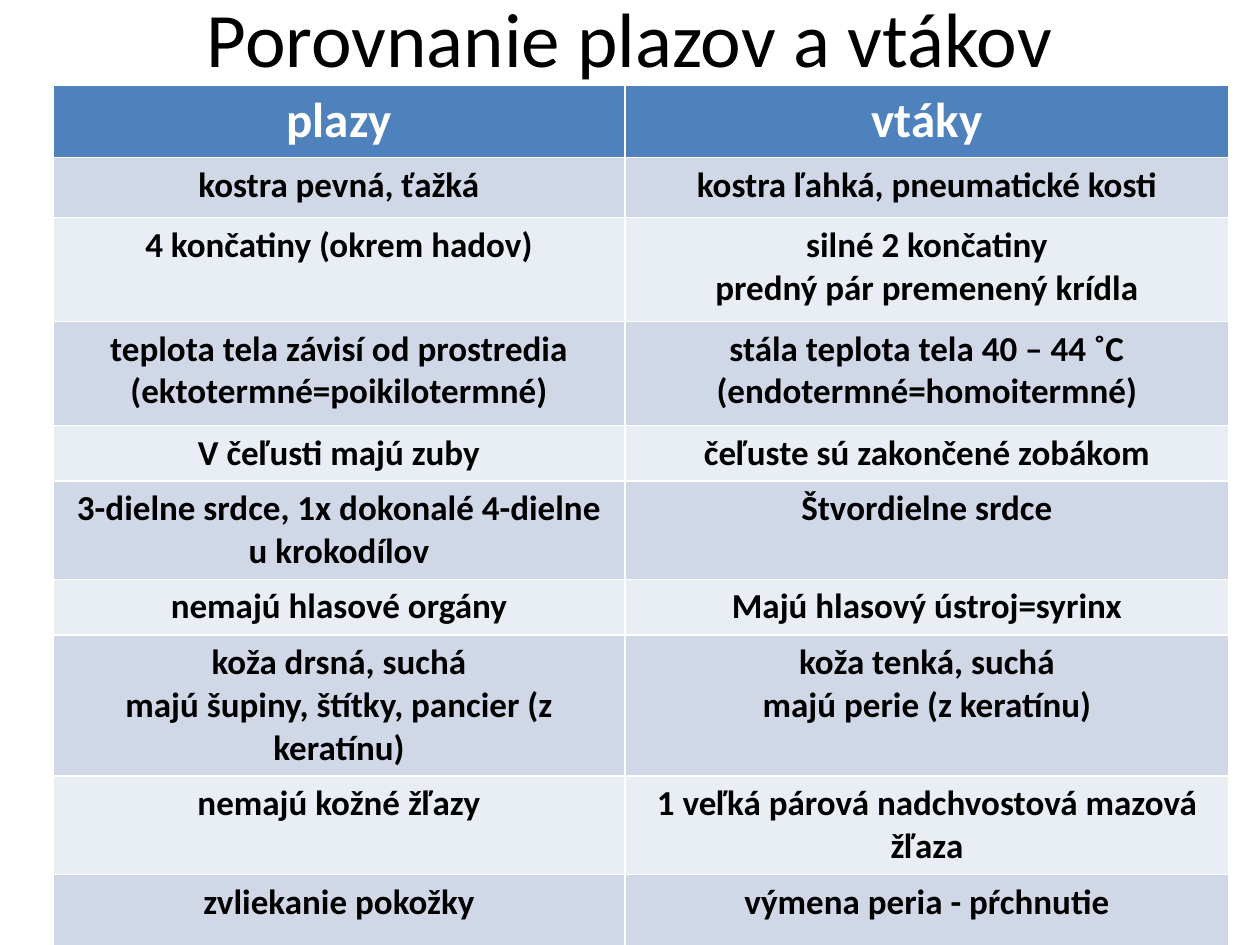
from pptx import Presentation
from pptx.dml.color import RGBColor as RGB
from pptx.enum.text import MSO_ANCHOR as ANCHOR, PP_ALIGN as ALIGN
from pptx.util import Pt

PX = 914400 // 126
FONT = "Calibri"
COLORS = {
    "black": "000000",
    "white": "FFFFFF",
    "header": "4F81BD",
    "odd": "D0D8E8",
    "even": "E9EDF4",
}
COL_WIDTHS = [572, 604]
ROWS = [
    (67, "plazy", "vtáky"),
    (60, "kostra pevná, ťažká", "kostra ľahká, pneumatické kosti"),
    (104, "4 končatiny (okrem hadov)",
     "silné 2 končatiny\npredný pár premenený krídla"),
    (104, "teplota tela závisí od prostredia (ektotermné=poikilotermné)",
     "stála teplota tela 40 – 44 ˚C\n(endotermné=homoitermné)"),
    (55, "V čeľusti majú zuby", "čeľuste sú zakončené zobákom"),
    (55, "3-dielne srdce, 1x dokonalé 4-dielne u krokodílov",
     "Štvordielne srdce"),
    (55, "nemajú hlasové orgány", "Majú hlasový ústroj=syrinx"),
    (117, "koža drsná, suchá\nmajú šupiny, štítky, pancier (z keratínu)",
     "koža tenká, suchá\nmajú perie (z keratínu)"),
    (82, "nemajú kožné žľazy", "1 veľká párová nadchvostová mazová žľaza"),
    (82, "zvliekanie pokožky", "výmena peria - pŕchnutie"),
]


def format_text(tf, size, color, bold):
    for p in tf.paragraphs:
        p.alignment = ALIGN.CENTER
        for r in p.runs:
            r.font.name = FONT
            r.font.size = Pt(size)
            r.font.bold = bold
            r.font.color.rgb = RGB.from_string(COLORS[color])


prs = Presentation()
prs.slide_width, prs.slide_height = 1260 * PX, 945 * PX
s = prs.slides.add_slide(prs.slide_layouts[5])

title = s.shapes.title
title.left, title.top, title.width, title.height = [
    v * PX for v in (63, -42, 1134, 158)]
title.text_frame.text = "Porovnanie plazov a vtákov"
title.text_frame.vertical_anchor = ANCHOR.MIDDLE
format_text(title.text_frame, 44, "black", False)

height = sum(row[0] for row in ROWS)
table = s.shapes.add_table(len(ROWS), len(COL_WIDTHS), 53 * PX, 85 * PX,
                           sum(COL_WIDTHS) * PX, height * PX).table
for col, width in zip(table.columns, COL_WIDTHS):
    col.width = width * PX

for i, (row_height, *texts) in enumerate(ROWS):
    table.rows[i].height = row_height * PX
    fill = "header" if i == 0 else "odd" if i % 2 else "even"
    size, color = (28, "white") if i == 0 else (20, "black")
    for j, text in enumerate(texts):
        cell = table.cell(i, j)
        cell.fill.solid()
        cell.fill.fore_color.rgb = RGB.from_string(COLORS[fill])
        cell.text_frame.text = text
        format_text(cell.text_frame, size, color, True)

prs.save("out.pptx")
